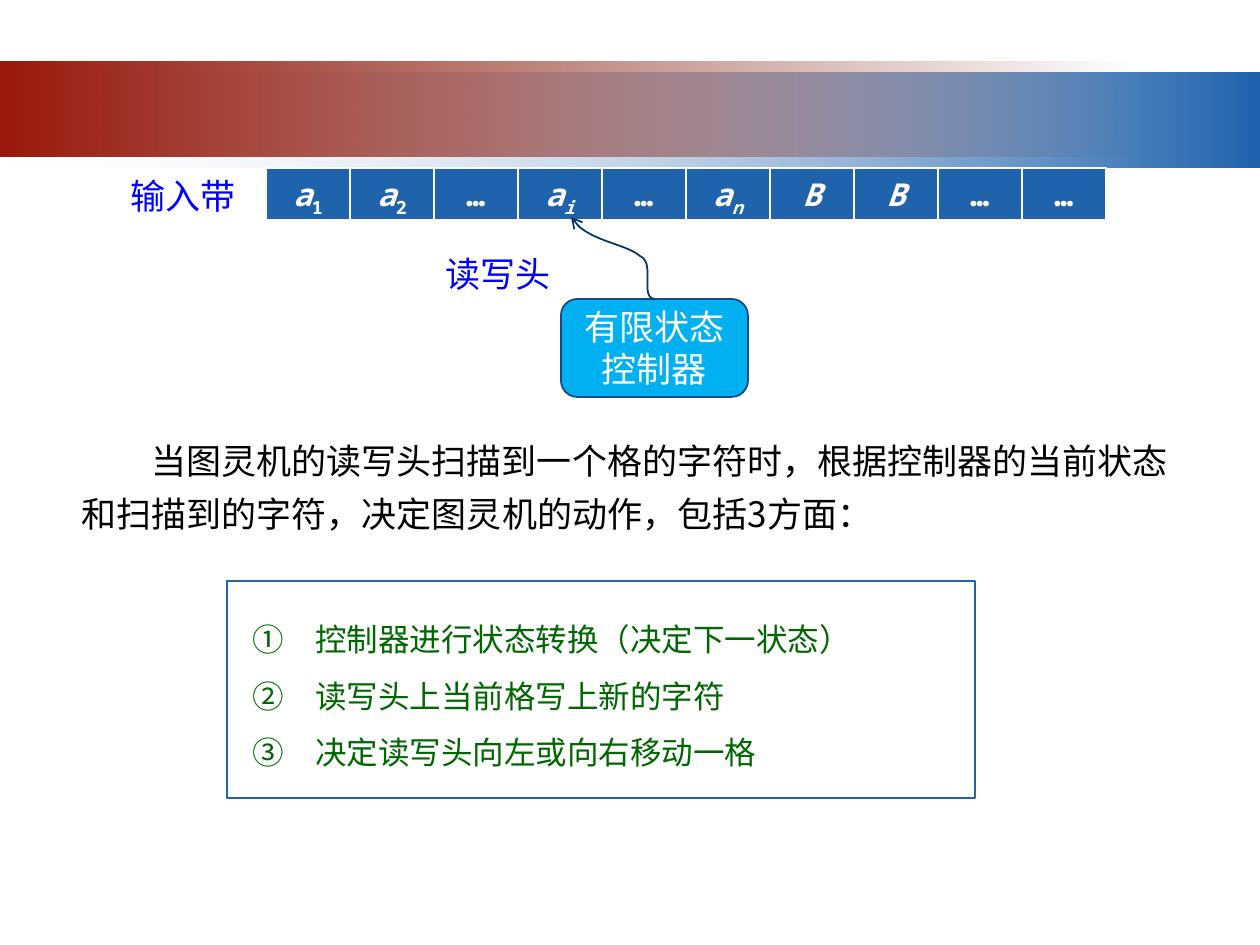
from dataclasses import dataclass

from lxml.etree import SubElement
from pptx import Presentation
from pptx.dml.color import RGBColor
from pptx.enum.shapes import MSO_SHAPE
from pptx.enum.text import MSO_ANCHOR, MSO_AUTO_SIZE, PP_ALIGN
from pptx.oxml.ns import qn
from pptx.util import Emu, Pt

PX = 914400 / 126  # EMU per px


@dataclass(frozen=True)
class Theme:
    white: str = "FFFFFF"
    black: str = "000000"
    blue: str = "1F63AD"
    label: str = "0000FF"
    control: str = "00B0F0"
    control_line: str = "174980"
    arrow: str = "003366"
    action: str = "006600"
    mono: str = "Noto Sans Mono"
    sans: str = "Noto Sans CJK SC"
    large: int = 20
    medium: int = 18


def px(*lengths):
    """Turn px lengths into a list of EMU."""
    return [Emu(round(length * PX)) for length in lengths]


def style(span, size, color, name):
    span.font.size = Pt(size)
    span.font.name = name
    span.font.color.rgb = RGBColor.from_string(color)
    SubElement(span.font._element, qn("a:ea"), typeface=name)


theme = Theme()
deck = Presentation()
deck.slide_width, deck.slide_height = px(1260, 945)
slide = deck.slides.add_slide(deck.slide_layouts[6])
shapes = slide.shapes

# Header bands: each fades to clear at one end
bands = [
    ((0, 73, 1260, 95), ("F1F2F7", theme.blue), 0),
    ((0, 62, 1134, 95), ("99190B", "6D1208"), 1),
]
for place, colors, clear_end in bands:
    band = shapes.add_shape(MSO_SHAPE.RECTANGLE, *px(*place))
    band.shadow.inherit = False
    band.line.fill.background()
    band.fill.gradient()
    band.fill.gradient_angle = 0
    for stop, color in zip(band.fill.gradient_stops, colors):
        stop.color.rgb = RGBColor.from_string(color)
    stop_colors = list(band.element.spPr.iter(qn("a:srgbClr")))
    SubElement(stop_colors[clear_end], qn("a:alpha"), val="0")

# Explanation and the two labels
texts = [
    ((69, 423, 1131, 113), theme.black, theme.sans,
     "当图灵机的读写头扫描到一个格的字符时，根据控制器的当前状态和扫描到的字符，决定图灵机的动作，包括3方面："),
    ((118, 168, 137, 55), theme.label, theme.mono, "输入带"),
    ((433, 246, 137, 55), theme.label, theme.mono, "读写头"),
]
for place, color, name, words in texts:
    box = shapes.add_textbox(*px(*place))
    box.text_frame.word_wrap = True
    box.text_frame.auto_size = MSO_AUTO_SIZE.SHAPE_TO_FIT_TEXT
    box.text_frame.text = words
    para = box.text_frame.paragraphs[0]
    style(para.runs[0], theme.large, color, name)
    if color == theme.black:
        para.line_spacing = Pt(30)
        para._p.get_or_add_pPr().set("indent", str(px(70)[0]))

# Input tape: symbol, subscript
symbols = [("a", "1"), ("a", "2"), ("…", ""), ("a", "i"), ("…", ""),
           ("a", "n"), ("B", ""), ("B", ""), ("…", ""), ("…", "")]
frame = shapes.add_table(1, len(symbols), *px(266, 168, 840, 53))
tape = frame.table
for column, (symbol, subscript) in enumerate(symbols):
    cell = tape.cell(0, column)
    cell.margin_top, cell.margin_bottom = px(5, 5)
    para = cell.text_frame.paragraphs[0]
    para.alignment = PP_ALIGN.CENTER
    for words in filter(None, (symbol, subscript)):
        span = para.add_run()
        span.text = words
        style(span, theme.medium, theme.white, theme.mono)
        span.font.bold = True
        span.font.italic = words.isalpha()
        if words == subscript:
            span.font._element.set("baseline", "-25000")
    cell_properties = cell._tc.get_or_add_tcPr()
    for side, width in (("L", 1), ("R", 1), ("T", 1), ("B", 3)):
        border = SubElement(cell_properties, qn(f"a:ln{side}"), w=str(Pt(width)))
        SubElement(SubElement(border, qn("a:solidFill")), qn("a:srgbClr"), val=theme.white)
    cell.fill.solid()
    cell.fill.fore_color.rgb = RGBColor.from_string(theme.blue)

# Controller
controller = shapes.add_shape(MSO_SHAPE.ROUNDED_RECTANGLE, *px(561, 299, 187, 98))
controller.shadow.inherit = False
controller.fill.solid()
controller.fill.fore_color.rgb = RGBColor.from_string(theme.control)
controller.line.color.rgb = RGBColor.from_string(theme.control_line)
controller.line.width = Pt(1)
controller.text_frame.word_wrap = True
controller.text_frame.vertical_anchor = MSO_ANCHOR.MIDDLE
controller.text_frame.text = "有限状态控制器"
para = controller.text_frame.paragraphs[0]
para.alignment = PP_ALIGN.CENTER
style(para.runs[0], theme.large, theme.white, theme.mono)

# Head: two Bezier curves from the controller up to the tape
curves = [
    ((655, 299), (639, 299), (656, 262), (640, 256)),
    ((640, 256), (625, 243), (585, 241), (571, 217)),
]
steps = 12
points = []
for curve in curves:
    for step in range(1, steps + 1):
        t = step / steps
        weights = ((1 - t) ** 3, 3 * t * (1 - t) ** 2, 3 * t * t * (1 - t), t ** 3)
        points.append(tuple(sum(w * v for w, v in zip(weights, axis)) for axis in zip(*curve)))
builder = shapes.build_freeform(*px(*curves[0][0]))
builder.add_line_segments([px(*point) for point in points], close=False)
head = builder.convert_to_shape()
head.shadow.inherit = False
head.fill.background()
head.line.color.rgb = RGBColor.from_string(theme.arrow)
head.line.width = Pt(1)
SubElement(head.line._get_or_add_ln(), qn("a:tailEnd"), type="arrow")

# Actions
actions = ["控制器进行状态转换（决定下一状态）", "读写头上当前格写上新的字符", "决定读写头向左或向右移动一格"]
panel = shapes.add_shape(MSO_SHAPE.RECTANGLE, *px(227, 581, 748, 217))
panel.shadow.inherit = False
panel.fill.solid()
panel.fill.fore_color.rgb = RGBColor.from_string(theme.white)
panel.line.color.rgb = RGBColor.from_string(theme.blue)
panel.line.width = Pt(1)
text = panel.text_frame
text.word_wrap = True
text.auto_size = MSO_AUTO_SIZE.SHAPE_TO_FIT_TEXT
text.vertical_anchor = MSO_ANCHOR.TOP
text.margin_left, text.margin_top, text.margin_right, text.margin_bottom = px(25, 20, 25, 25)
text.text = "\n".join(actions)
hanging = px(63)[0]
for para in text.paragraphs:
    para.alignment = PP_ALIGN.LEFT
    para.line_spacing = 1.5
    style(para.runs[0], theme.medium, theme.action, theme.sans)
    properties = para._p.get_or_add_pPr()
    properties.set("marL", str(hanging))
    properties.set("indent", str(-hanging))
    SubElement(properties, qn("a:buFont"), typeface=theme.sans)
    SubElement(properties, qn("a:buAutoNum"), type="circleNumDbPlain")

deck.save("out.pptx")
